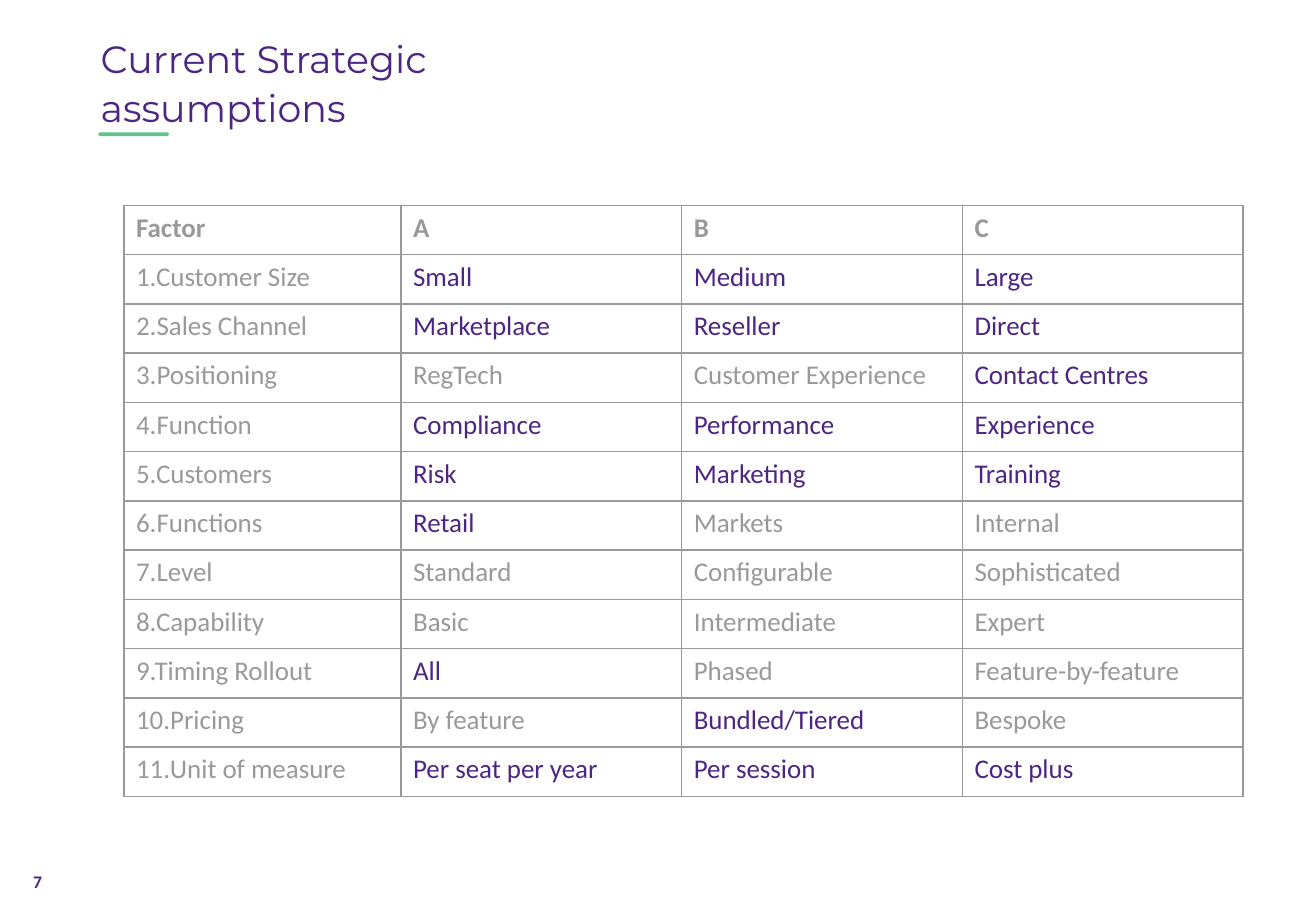
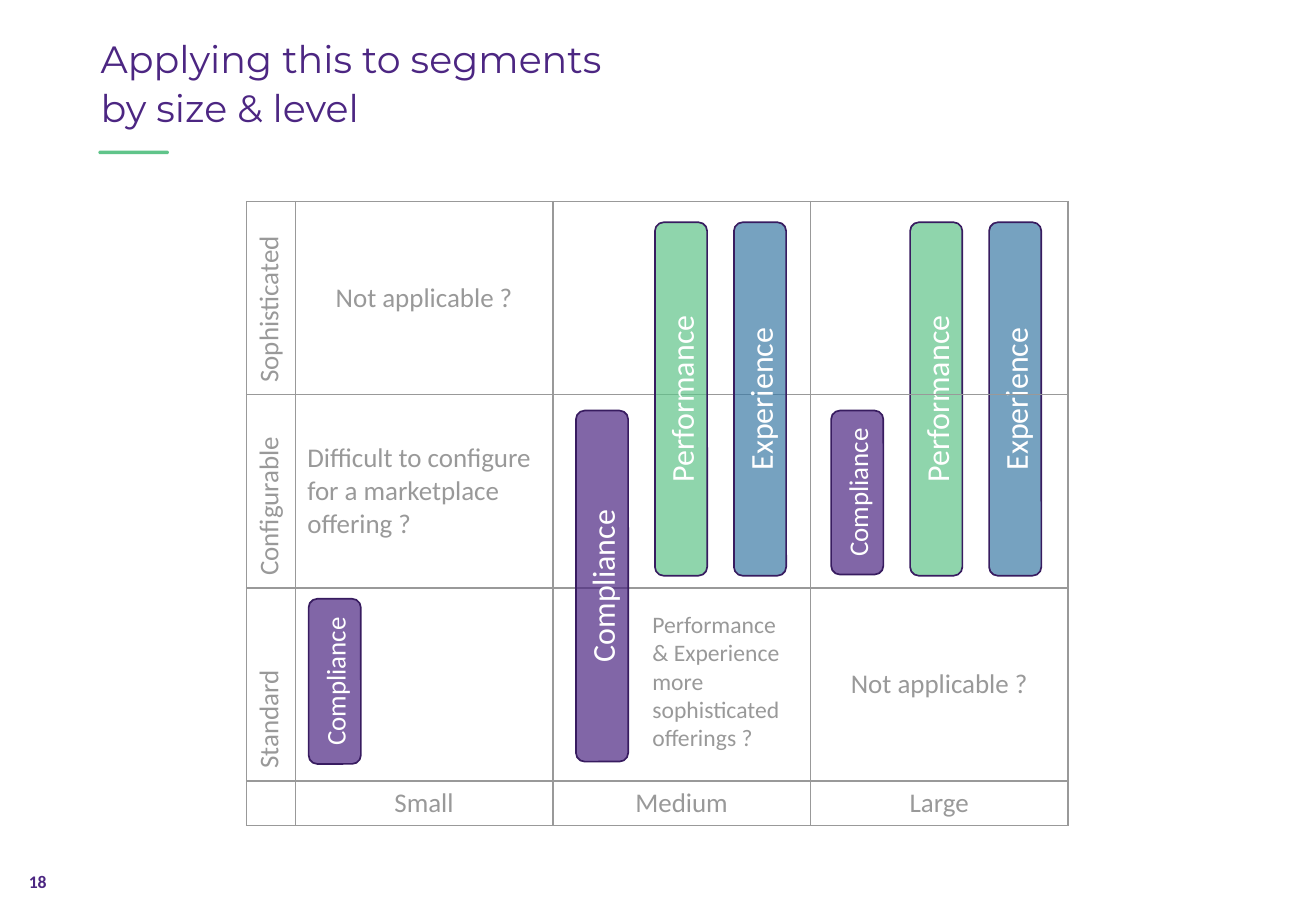
"""Builds two strategy slides: an assumptions table and a segment grid."""
from lxml import etree
from pptx import Presentation
from pptx.dml.color import RGBColor
from pptx.enum.shapes import MSO_SHAPE as SHAPE
from pptx.enum.text import MSO_ANCHOR as ANCHOR, MSO_AUTO_SIZE as FIT, PP_ALIGN as ALIGN
from pptx.oxml.ns import qn
from pptx.util import Pt

PX = 9144
PURPLE = RGBColor(0x4C, 0x26, 0x82)
DARK = RGBColor(0x38, 0x1C, 0x60)
GREEN = RGBColor(0x60, 0xC4, 0x8A)
BLUE = RGBColor(0x3C, 0x7B, 0xA6)
GREY = RGBColor(0x99, 0x99, 0x99)
WHITE = RGBColor(0xFF, 0xFF, 0xFF)
BODY, HEAD = "Calibri", "Montserrat"

HEADER = ("Factor", "A", "B", "C")
FACTORS = [
    ("Customer Size", "Small", "Medium", "Large", "ABC"),
    ("Sales Channel", "Marketplace", "Reseller", "Direct", "ABC"),
    ("Positioning", "RegTech", "Customer Experience", "Contact Centres", "C"),
    ("Function", "Compliance", "Performance", "Experience", "ABC"),
    ("Customers", "Risk", "Marketing", "Training", "ABC"),
    ("Functions", "Retail", "Markets", "Internal", "A"),
    ("Level", "Standard", "Configurable", "Sophisticated", ""),
    ("Capability", "Basic", "Intermediate", "Expert", ""),
    ("Timing Rollout", "All", "Phased", "Feature-by-feature", "A"),
    ("Pricing", "By feature", "Bundled/Tiered", "Bespoke", "B"),
    ("Unit of measure", "Per seat per year", "Per session", "Cost plus", "ABC"),
]
FACTORS_H = 487
SEGMENTS = [
    ("Sophisticated", "Not applicable ?", "", ""),
    ("Configurable", "Difficult to configure for a marketplace offering ?", "", ""),
    ("Standard", "", "", "Not applicable ?"),
    ("", "Small", "Medium", "Large"),
]
LEFT_ALIGNED = (1, 1)
NOTE = "Performance & Experience more sophisticated offerings ?"
BAR_FILLS = {"Compliance": PURPLE, "Performance": GREEN, "Experience": BLUE}
BAR_W, BAR_PITCH = 43, 65
SMALL_X, MEDIUM_X, LARGE_X = 254, 474, 684
TALL = (183, 291, 18.9)
BARS_BEHIND = [
    ("Experience", LARGE_X + 2 * BAR_PITCH, *TALL),
    ("Performance", LARGE_X + BAR_PITCH, *TALL),
]
BARS_FRONT = [
    ("Performance", MEDIUM_X + BAR_PITCH, *TALL),
    ("Experience", MEDIUM_X + 2 * BAR_PITCH, *TALL),
    ("Compliance", SMALL_X, 493, 136, 16),
    ("Compliance", MEDIUM_X, 338, 289, 18.9),
    ("Compliance", LARGE_X, 338, 135, 16),
]


def box(*lengths):
    return [round(n * PX) for n in lengths]


def write(tf, text, size, color, font=BODY, bold=False, align=ALIGN.LEFT):
    p = tf.paragraphs[0]
    p.alignment = align
    if not text:
        p._p.get_or_add_endParaRPr().set("sz", str(size * 100))
        return p
    r = p.add_run()
    r.text = text
    r.font.name, r.font.size, r.font.bold = font, Pt(size), bold
    r.font.color.rgb = color
    return p


def add_text(s, at, text, size, color, wrap=True, **style):
    tf = s.shapes.add_textbox(*box(*at)).text_frame
    tf.word_wrap = wrap
    return tf, write(tf, text, size, color, **style)


def add_round(s, at, fill):
    sp = s.shapes.add_shape(SHAPE.ROUNDED_RECTANGLE, *box(*at))
    sp.shadow.inherit = False
    sp.fill.solid()
    sp.fill.fore_color.rgb = fill
    sp.line.fill.background()
    return sp


def add_bar(s, name, left, top, height, size):
    sp = add_round(s, (left, top, BAR_W, height), BAR_FILLS[name])
    color = sp._element.spPr.find(qn("a:solidFill"))[0]
    etree.SubElement(color, qn("a:alpha")).set("val", "70000")
    sp.line.color.rgb, sp.line.width = DARK, Pt(1)
    tf = sp.text_frame
    tf.vertical_anchor = ANCHOR.MIDDLE
    tf._txBody.bodyPr.set("vert", "vert270")
    write(tf, name, size, WHITE, align=ALIGN.CENTER)


def add_border(cell):
    tcPr = cell._tc.get_or_add_tcPr()
    for side in ("lnL", "lnR", "lnT", "lnB"):
        ln = etree.SubElement(tcPr, qn("a:" + side), w=str(int(Pt(1))))
        fill = etree.SubElement(ln, qn("a:solidFill"))
        etree.SubElement(fill, qn("a:srgbClr"), val=str(GREY))


def add_grid(s, left, top, cols, rows):
    shape = s.shapes.add_table(len(rows), len(cols), *box(left, top, sum(cols), sum(rows)))
    table = shape.table
    table.first_row = table.horz_banding = False
    for col, width in zip(table.columns, box(*cols)):
        col.width = width
    for row, height in zip(table.rows, box(*rows)):
        row.height = height
    for cell in table.iter_cells():
        add_border(cell)
        cell.fill.background()
    return table


def add_page(prs, title, title_w, rule_top, number):
    s = prs.slides.add_slide(prs.slide_layouts[6])
    tf, p = add_text(s, (15, 713, 32, 25), number, 10.5, PURPLE, wrap=False,
                     bold=True, align=ALIGN.CENTER)
    tf.margin_left = tf.margin_right = 8 * PX
    tf.margin_top = tf.margin_bottom = 4 * PX
    tf, p = add_text(s, (73, 22, title_w, 160), title, 22.5, PURPLE, font=HEAD)
    p.line_spacing = Pt(29)
    add_round(s, (81, rule_top, 58, 3), GREEN).adjustments[0] = 0.5
    return s


def assumptions(prs):
    s = add_page(prs, "Current Strategic assumptions", 422, 109, "7")
    count = len(FACTORS) + 1
    table = add_grid(s, 102, 169, [228] + [231] * 3, [FACTORS_H / count] * count)
    for c, text in enumerate(HEADER):
        write(table.cell(0, c).text_frame, text, 16, GREY, bold=True)
    for n, (factor, *options, chosen) in enumerate(FACTORS, 1):
        write(table.cell(n, 0).text_frame, f"{n}.{factor}", 16, GREY)
        for c, text in enumerate(options, 1):
            color = PURPLE if HEADER[c] in chosen else GREY
            write(table.cell(n, c).text_frame, text, 16, color)


def segments(prs):
    s = add_page(prs, "Applying this to segments by size & level", 443, 124, "18")
    for bar in BARS_BEHIND:
        add_bar(s, *bar)
    table = add_grid(s, 203, 166, [40] + [212] * 3, [159] * 3 + [36])
    for r, row in enumerate(SEGMENTS):
        for c, text in enumerate(row):
            cell = table.cell(r, c)
            left = c == 0 or (r, c) == LEFT_ALIGNED
            write(cell.text_frame, text, 16, GREY, align=ALIGN.LEFT if left else ALIGN.CENTER)
            if r < 3:
                cell.vertical_anchor = ANCHOR.MIDDLE
                if c == 0:
                    cell._tc.tcPr.set("vert", "vert270")
    for bar in BARS_FRONT:
        add_bar(s, *bar)
    tf, p = add_text(s, (527, 497, 137, 128), NOTE, 14, GREY)
    tf.auto_size = FIT.SHAPE_TO_FIT_TEXT


def main():
    prs = Presentation()
    prs.slide_width, prs.slide_height = box(1083, 750)
    assumptions(prs)
    segments(prs)
    prs.save("out.pptx")


if __name__ == "__main__":
    main()
